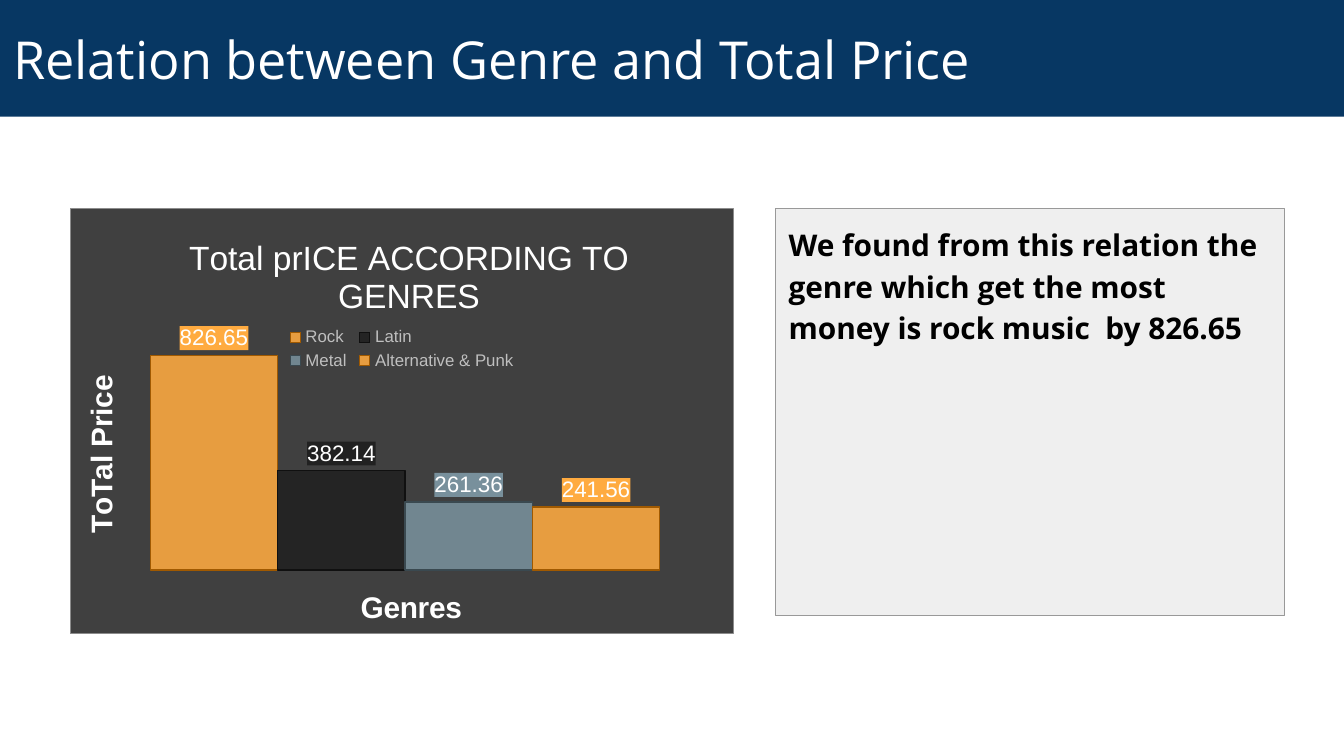
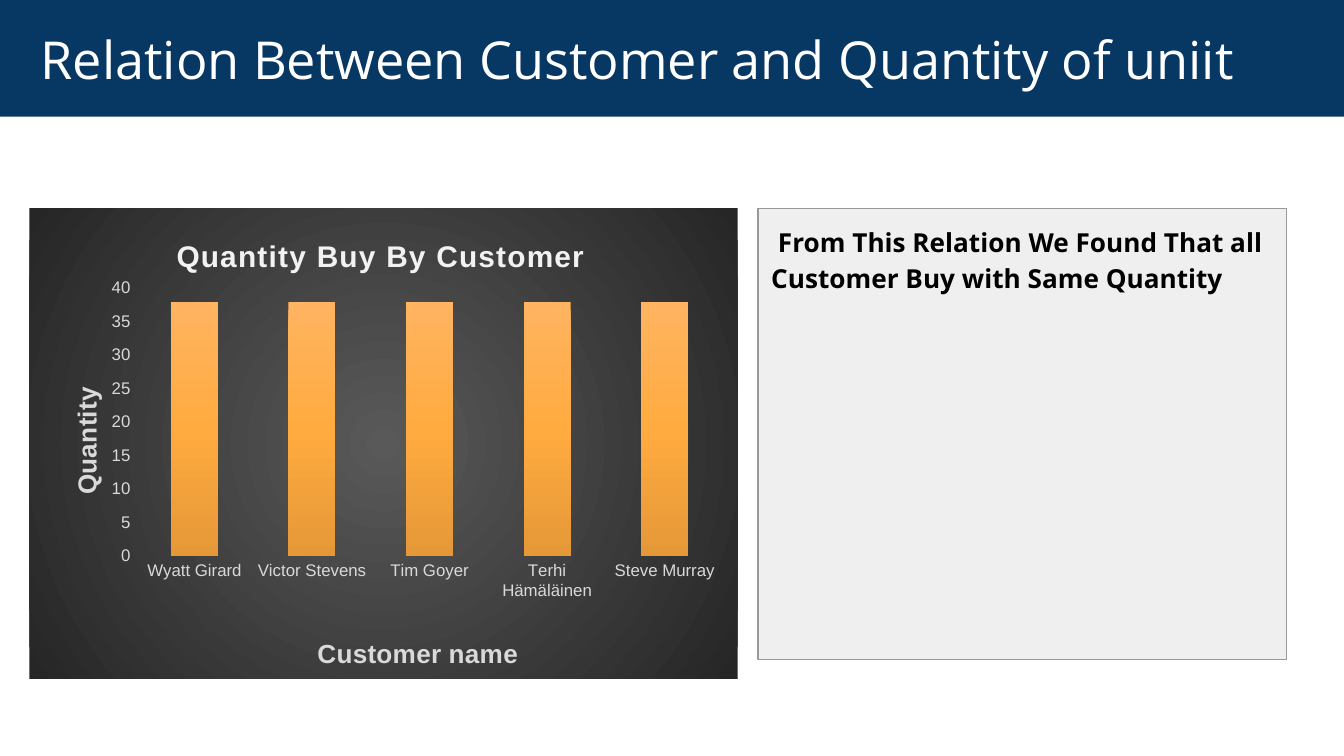
from dataclasses import dataclass

from lxml import etree
from pptx import Presentation
from pptx.chart.data import CategoryChartData
from pptx.dml.color import RGBColor
from pptx.enum.chart import XL_CHART_TYPE, XL_LABEL_POSITION, XL_LEGEND_POSITION, XL_TICK_MARK
from pptx.enum.shapes import MSO_SHAPE
from pptx.enum.text import MSO_ANCHOR, PP_ALIGN
from pptx.oxml import parse_xml
from pptx.oxml.ns import nsdecls, qn
from pptx.util import Pt

RECTANGLE = MSO_SHAPE.RECTANGLE
COLUMNS = XL_CHART_TYPE.COLUMN_CLUSTERED
OUTSIDE_END = XL_LABEL_POSITION.OUTSIDE_END
LEGEND_TOP = XL_LEGEND_POSITION.TOP
NO_TICK = XL_TICK_MARK.NONE
LEFT = PP_ALIGN.LEFT
MIDDLE, TOP = MSO_ANCHOR.MIDDLE, MSO_ANCHOR.TOP


@dataclass(frozen=True)
class Theme:
    text_font: str = "Open Sans"
    chart_font: str = "Arial"
    band: str = "073763"
    white: str = "FFFFFF"
    black: str = "000000"
    panel: str = "EFEFEF"
    panel_line: str = "999999"
    chart_back: str = "404040"
    chart_line: str = "8C8C8C"
    legend: str = "BFBFBF"
    axis: str = "D9D9D9"
    heading: str = "F2F2F2"
    back_stops: tuple = ((0, "595959"), (100, "262626"))
    column_stops: tuple = ((0, "FFB461"), (50, "FFAB40"), (100, "E59837"))
    title_size: int = 28
    chart_title_size: int = 18
    quantity_title_size: int = 16
    price_axis_size: int = 16
    quantity_axis_size: int = 14
    label_size: int = 12
    chart_size: int = 10
    small_size: int = 9


THEME = Theme()
SLIDE_WIDTH, SLIDE_HEIGHT = 720, 405
BAND_HEIGHT = 62.6
CONTENT_TOP = 111.6
INSET = 7.2

GENRES = (
    ("Rock", 826.65, "FFAB40", "A05900"),
    ("Latin", 382.14, "212121", "101010"),
    ("Metal", 261.36, "78909C", "3A4950"),
    ("Alternative & Punk", 241.56, "FFAB40", "A05900"),
)
CUSTOMERS = ("Wyatt Girard", "Victor Stevens", "Tim Goyer", "Terhi Hämäläinen", "Steve Murray")
QUANTITY = 38


def style_font(font, size, color, bold=False, name=THEME.chart_font):
    font.name = name
    font.size = Pt(size)
    font.bold = bold
    font.color.rgb = RGBColor.from_string(color)


def add_text_block(slide, box, text, fill, size, color, bold=False, anchor=TOP, left_inset=INSET):
    block = slide.shapes.add_shape(RECTANGLE, *map(Pt, box))
    block.shadow.inherit = False
    block.fill.solid()
    block.fill.fore_color.rgb = RGBColor.from_string(fill)
    block.line.fill.background()
    frame = block.text_frame
    frame.word_wrap = True
    frame.vertical_anchor = anchor
    frame.margin_left = Pt(left_inset)
    frame.margin_right = frame.margin_top = frame.margin_bottom = Pt(INSET)
    frame.text = text
    paragraph = frame.paragraphs[0]
    paragraph.alignment = LEFT
    style_font(paragraph.runs[0].font, size, color, bold, THEME.text_font)
    return block


def add_title_band(slide, text, indent=0):
    add_text_block(slide, (0, 0, SLIDE_WIDTH, BAND_HEIGHT), text, THEME.band, THEME.title_size,
                   THEME.white, anchor=MIDDLE, left_inset=INSET + indent)


def add_finding(slide, left, width, height, text, size, indent=0):
    panel = add_text_block(slide, (left, CONTENT_TOP, width, height), text, THEME.panel, size,
                           THEME.black, bold=True)
    panel.line.color.rgb = RGBColor.from_string(THEME.panel_line)
    panel.line.width = Pt(0.75)
    paragraph = panel.text_frame.paragraphs[0]
    paragraph.line_spacing = 1.15
    paragraph.space_after = Pt(16)
    paragraph._p.get_or_add_pPr().set("indent", str(Pt(indent)))


def solid_xml(color):
    return f'<a:solidFill {nsdecls("a")}><a:srgbClr val="{color}"/></a:solidFill>'


def gradient_xml(stops, direction):
    marks = "".join(f'<a:gs pos="{position * 1000}"><a:srgbClr val="{color}"/></a:gs>'
                    for position, color in stops)
    return f'<a:gradFill {nsdecls("a")}><a:gsLst>{marks}</a:gsLst>{direction}</a:gradFill>'


def properties(fill, line="<a:noFill/>"):
    return parse_xml(f'<c:spPr {nsdecls("c", "a")}>{fill}<a:ln w="{Pt(0.5)}">{line}</a:ln></c:spPr>')


def place(part, x, y, width=None, height=None, inner=False):
    for old in part.findall(qn("c:layout")):
        part.remove(old)
    layout = parse_xml(f'<c:layout {nsdecls("c")}><c:manualLayout/></c:layout>')
    values = [("layoutTarget", "inner")] if inner else []
    values += [("xMode", "edge"), ("yMode", "edge"), ("x", x), ("y", y)]
    if width is not None:
        values += [("w", width), ("h", height)]
    for tag, value in values:
        etree.SubElement(layout[0], qn(f"c:{tag}")).set("val", str(value))
    overlay = part.find(qn("c:overlay"))
    if overlay is None:
        part.insert(0, layout)
    else:
        overlay.addprevious(layout)


def add_column_chart(slide, left, width, height, categories, series, gap, background, plot_box):
    data = CategoryChartData()
    data.categories = categories
    for name, values in series:
        data.add_series(name, values)
    frame = slide.shapes.add_chart(COLUMNS, Pt(left), Pt(CONTENT_TOP), Pt(width), Pt(height), data)
    chart = frame.chart
    chart.font.name = THEME.chart_font
    chart.font.size = Pt(THEME.chart_size)
    chart.has_legend = False
    plot = chart.plots[0]
    plot.gap_width = gap
    plot.overlap = 0
    plot.vary_by_categories = False
    chart.value_axis.has_major_gridlines = False
    chart.value_axis.minimum_scale = 0
    chart.element.find(qn("c:chart")).addnext(background)
    place(chart.element.xpath(".//c:plotArea")[0], *plot_box, inner=True)
    return chart


def set_headings(chart, headings):
    owners = (chart, chart.category_axis, chart.value_axis)
    for owner, (text, size, color, bold, _) in zip(owners, headings):
        owner.has_title = True
        heading = owner.chart_title if owner is chart else owner.axis_title
        heading.text_frame.text = text
        style_font(heading.text_frame.paragraphs[0].runs[0].font, size, color, bold)
    titles = chart.element.xpath(".//c:title")
    for title, heading in zip(titles, headings):
        place(title, *heading[-1])
    turned = titles[-1].xpath(".//a:bodyPr")[0]
    turned.set("rot", "-5400000")
    turned.set("vert", "horz")
    return titles


def add_genre_chart(slide):
    background = properties(solid_xml(THEME.chart_back), solid_xml(THEME.chart_line))
    chart = add_column_chart(slide, 37.4, 355.7, 228.2, ["1"],
                             [(name, [price]) for name, price, _, _ in GENRES],
                             84, background, (0.04, 0.3, 0.93, 0.55))
    chart.value_axis.maximum_scale = 900
    chart.category_axis.visible = chart.value_axis.visible = False
    set_headings(chart, (
        ("Total prICE ACCORDING TO GENRES", THEME.chart_title_size, THEME.white, False, (0.17, 0.05)),
        ("Genres", THEME.price_axis_size, THEME.white, True, (0.43, 0.88)),
        ("ToTal Price", THEME.price_axis_size, THEME.white, True, (0.01, 0.38)),
    ))
    chart.has_legend = True
    chart.legend.position = LEGEND_TOP
    chart.legend.include_in_layout = False
    style_font(chart.legend.font, THEME.small_size, THEME.legend)
    place(chart.element.xpath(".//c:legend")[0], 0.32, 0.27, 0.36, 0.12)

    for series, (_, _, color, edge) in zip(chart.plots[0].series, GENRES):
        series.format.fill.solid()
        series.format.fill.fore_color.rgb = RGBColor.from_string(color)
        series.format.line.color.rgb = RGBColor.from_string(edge)
        series.format.line.width = Pt(0.75)
        labels = series.data_labels
        labels.show_value = True
        labels.position = OUTSIDE_END
        style_font(labels.font, THEME.label_size, THEME.white)
    for tint in chart.element.xpath(".//c:ser/c:spPr/a:solidFill/a:srgbClr"):
        etree.SubElement(tint, qn("a:alpha")).set("val", "88000")
    label_texts = chart.element.xpath(".//c:ser/c:dLbls/c:txPr")
    for label_text, (_, _, color, _) in zip(label_texts, GENRES):
        label_text.addprevious(properties(solid_xml(color)))


def add_quantity_chart(slide):
    center = '<a:path path="circle"><a:fillToRect l="50000" t="50000" r="50000" b="50000"/></a:path>'
    background = properties(gradient_xml(THEME.back_stops, center))
    chart = add_column_chart(slide, 15.8, 379.4, 252, CUSTOMERS,
                             [("Series 1", [QUANTITY] * len(CUSTOMERS))],
                             150, background, (0.15, 0.17, 0.83, 0.57))
    chart.value_axis.maximum_scale = 40
    chart.value_axis.major_unit = 5
    for axis in (chart.category_axis, chart.value_axis):
        axis.major_tick_mark = axis.minor_tick_mark = NO_TICK
        axis.format.line.fill.background()
        style_font(axis.tick_labels.font, THEME.small_size, THEME.axis)
    titles = set_headings(chart, (
        ("Quantity Buy By Customer", THEME.quantity_title_size, THEME.heading, True, (0.2, 0.05)),
        ("Customer name", THEME.quantity_axis_size, THEME.axis, True, (0.4, 0.9)),
        ("Quantity", THEME.quantity_axis_size, THEME.axis, True, (0.05, 0.37)),
    ))
    titles[0].xpath(".//a:rPr")[0].set("spc", "80")
    chart.plots[0].series[0].format.fill.solid()
    column_fill = chart.element.xpath(".//c:ser/c:spPr/a:solidFill")[0]
    gradient = parse_xml(gradient_xml(THEME.column_stops, '<a:lin ang="5400000" scaled="0"/>'))
    column_fill.getparent().replace(column_fill, gradient)


def main():
    deck = Presentation()
    deck.slide_width, deck.slide_height = Pt(SLIDE_WIDTH), Pt(SLIDE_HEIGHT)
    blank = deck.slide_layouts[6]

    genre_slide = deck.slides.add_slide(blank)
    add_finding(genre_slide, 415.4, 272.9, 218.2,
                "We found from this relation the genre which get the most money is rock music  by 826.65", 16)
    add_title_band(genre_slide, "Relation between Genre and Total Price")
    add_genre_chart(genre_slide)

    customer_slide = deck.slides.add_slide(blank)
    add_finding(customer_slide, 406.1, 283, 241.9,
                "From This Relation We Found That all Customer Buy with Same Quantity", 14, indent=3.6)
    add_title_band(customer_slide, "Relation Between Customer and Quantity of uniit", indent=14.6)
    add_quantity_chart(customer_slide)

    deck.save("out.pptx")


if __name__ == "__main__":
    main()
